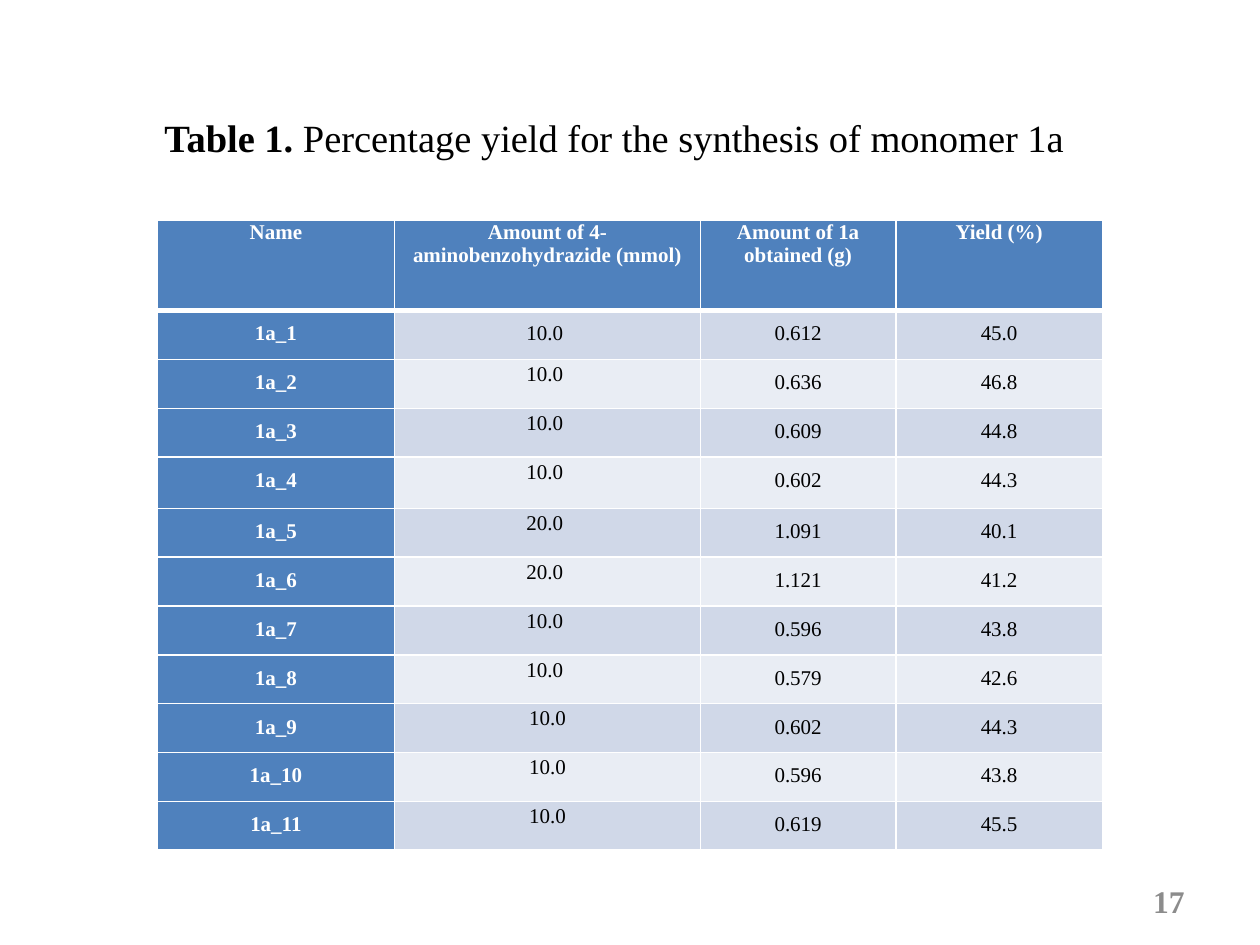
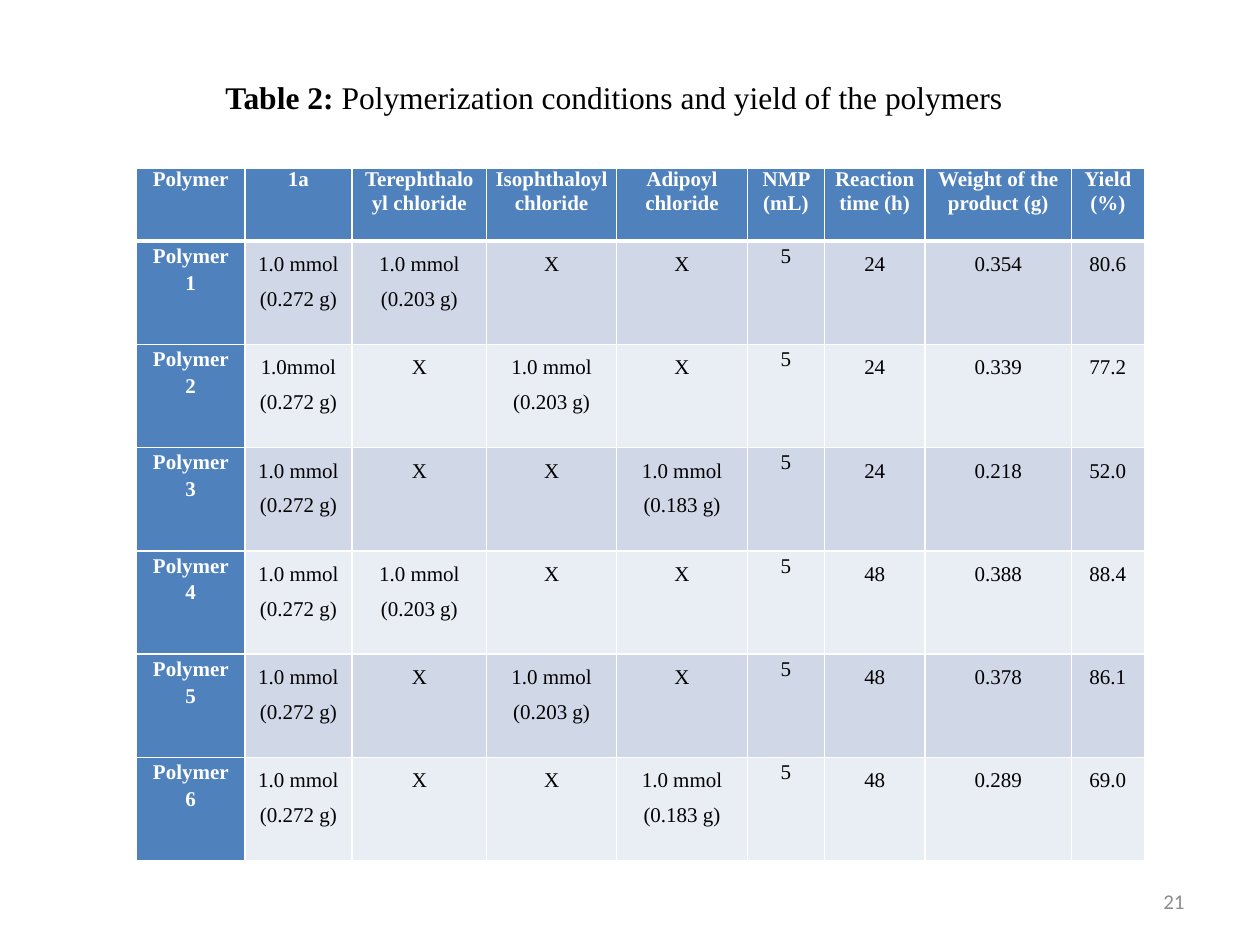
import dataclasses

import lxml.etree
import pptx
import pptx.dml.color
import pptx.enum.text
import pptx.oxml.ns
import pptx.util

ALIGN = pptx.enum.text.PP_ALIGN


# Colours, fonts and type sizes
@dataclasses.dataclass(frozen=True)
class Theme:
    serif: str = "Times New Roman"
    sans: str = "Calibri"
    ink: str = "000000"
    paper: str = "FFFFFF"
    blue: str = "4F81BD"
    bands: tuple[str, str] = ("D0D8E8", "E9EDF4")
    gray: str = "8C8C8C"
    small: int = 12
    large: int = 18
    huge: int = 22
    thin: int = 1
    thick: int = 3
    loose: float = 1.5
    snug: float = 1.15


THEME = Theme()

# The slide is a grid of 120 columns by 90 rows
WIDTH, HEIGHT = pptx.util.Inches(10), pptx.util.Inches(7.5)
UNIT = WIDTH / 120


@dataclasses.dataclass(frozen=True)
class Box:
    left: float
    top: float
    width: float
    height: float

    def place(self) -> tuple[int, ...]:
        return tuple(round(n * UNIT) for n in dataclasses.astuple(self))


@dataclasses.dataclass(frozen=True)
class Style:
    size: int
    color: str
    bold: bool | None = False
    face: str = THEME.serif


@dataclasses.dataclass(frozen=True)
class Title:
    box: Box
    label: str
    text: str
    size: int


@dataclasses.dataclass(frozen=True)
class Grid:
    box: Box
    widths: tuple[float, ...]
    heights: tuple[float, ...]
    heads: tuple[str, ...]
    rows: tuple[tuple[str, ...], ...]
    snug: frozenset[tuple[int, int]]  # cells with tighter lines


@dataclasses.dataclass(frozen=True)
class Page:
    title: Title
    grid: Grid
    number: str
    style: Style


NUMBER_BOX = Box(86, 83.4, 28, 4.8)

# Slide content
YIELDS = Grid(
    Box(15, 21, 90, 60),
    (1.88, 2.43, 1.55, 1.64),
    (0.72, *[0.39] * 4, 0.41, *[0.39] * 6)[:1] + (0.39,) * 3 + (0.41,) + (0.39,) * 7,
    ("Name", "Amount of 4-aminobenzohydrazide (mmol)",
     "Amount of 1a obtained (g)", "Yield (%)"),
    (
        ("1a_1", "10.0 ", "0.612", "45.0"),
        ("1a_2", "10.0 ", "0.636", "46.8"),
        ("1a_3", "10.0 ", "0.609", "44.8"),
        ("1a_4", "10.0 ", "0.602", "44.3"),
        ("1a_5", "20.0 ", "1.091", "40.1"),
        ("1a_6", "20.0 ", "1.121", "41.2"),
        ("1a_7", "10.0 ", "0.596", "43.8"),
        ("1a_8", "10.0 ", "0.579", "42.6"),
        ("1a_9", "10.0", "0.602", "44.3"),
        ("1a_10", "10.0", "0.596", "43.8"),
        ("1a_11", "10.0", "0.619", "45.5"),
    ),
    frozenset((row, 1) for row in range(2, 12)),
)

BASE = "1.0 mmol\n(0.272 g)"
LONG = "1.0 mmol (0.203 g)"
SHORT = "1.0 mmol (0.183 g)"
RUNS = Grid(
    Box(13, 16, 96, 66),
    (0.86, 0.85, 1.07, 1.03, 1.04, 0.61, 0.8, 1.16, 0.58),
    (0.58, *[0.82] * 6),
    ("Polymer", "1a", "Terephthaloyl chloride", "Isophthaloyl chloride",
     "Adipoyl chloride", "NMP (mL)", "Reaction time (h)",
     "Weight of the product (g)", "Yield (%)"),
    (
        ("Polymer 1", BASE, LONG, "X", "X", "5", "24", "0.354", "80.6"),
        ("Polymer 2", "1.0mmol\n(0.272 g)", "X", LONG, "X", "5", "24", "0.339", "77.2"),
        ("Polymer 3", BASE, "X", "X", SHORT, "5", "24", "0.218", "52.0"),
        ("Polymer 4", BASE, LONG, "X", "X", "5", "48", "0.388", "88.4"),
        ("Polymer 5", BASE, "X", LONG, "X", "5", "48", "0.378", "86.1"),
        ("Polymer 6", BASE, "X", "X", SHORT, "5", "48", "0.289", "69.0"),
    ),
    frozenset((row, col) for row in range(1, 7) for col in (0, 5)),
)

PAGES = (
    Page(
        Title(Box(2, 10.3, 113, 5.6), "Table 1. ",
              "Percentage yield for the synthesis of monomer 1a", THEME.huge),
        YIELDS, "17", Style(THEME.large, THEME.gray, True),
    ),
    Page(
        Title(Box(14, 6.8, 89, 4.8), "Table 2: ",
              "Polymerization conditions and yield of the polymers", THEME.large),
        RUNS, "21", Style(THEME.small, THEME.gray, face=THEME.sans),
    ),
)


def paint(color: str) -> pptx.dml.color.RGBColor:
    return pptx.dml.color.RGBColor.from_string(color)


def set_font(para, style: Style, align: ALIGN) -> None:
    para.alignment = align
    font = para.font
    font.name, font.size = style.face, pptx.util.Pt(style.size)
    font.color.rgb = paint(style.color)
    font.bold = style.bold


def add_box(slide, box: Box):
    frame = slide.shapes.add_textbox(*box.place()).text_frame
    frame.word_wrap = True
    return frame


def add_title(slide, title: Title) -> None:
    frame = add_box(slide, title.box)
    frame.auto_size = pptx.enum.text.MSO_AUTO_SIZE.SHAPE_TO_FIT_TEXT
    para = frame.paragraphs[0]
    set_font(para, Style(title.size, THEME.ink, None), ALIGN.CENTER)
    for text, bold in ((title.label, True), (title.text, False)):
        run = para.add_run()
        run.text, run.font.bold = text, bold


def add_number(slide, text: str, style: Style) -> None:
    frame = add_box(slide, NUMBER_BOX)
    frame.vertical_anchor = pptx.enum.text.MSO_ANCHOR.MIDDLE
    frame.text = text
    set_font(frame.paragraphs[0], style, ALIGN.RIGHT)


def add_edge(cell, side: str, points: int) -> None:
    name = pptx.oxml.ns.qn
    props = cell._tc.get_or_add_tcPr()
    line = lxml.etree.SubElement(props, name(f"a:ln{side}"), w=str(pptx.util.Pt(points)))
    fill = lxml.etree.SubElement(line, name("a:solidFill"))
    lxml.etree.SubElement(fill, name("a:srgbClr"), val=THEME.paper)


def fill_cell(cell, text: str, row: int, col: int, snug: bool) -> None:
    head = row == 0
    label = head or col == 0
    # Edges come before the fill in the cell's XML
    for side in "LRTB":
        heavy = (side == "B" and head) or (side == "T" and row == 1)
        add_edge(cell, side, THEME.thick if heavy else THEME.thin)
    cell.fill.solid()
    cell.fill.fore_color.rgb = paint(THEME.blue if label else THEME.bands[(row - 1) % 2])
    cell.margin_left = cell.margin_right = pptx.util.Inches(0.07)
    cell.margin_top = cell.margin_bottom = 0
    cell.text = text
    style = Style(THEME.small, THEME.paper if label else THEME.ink, label)
    for para in cell.text_frame.paragraphs:
        set_font(para, style, ALIGN.CENTER)
        if not head:
            para.line_spacing = THEME.snug if snug else THEME.loose


def add_grid(slide, grid: Grid) -> None:
    left, top, width, height = grid.box.place()
    table = slide.shapes.add_table(
        len(grid.heights), len(grid.widths), left, top, width, height).table
    table.first_col = True
    # Share the frame out by weight
    for col, part in zip(table.columns, grid.widths):
        col.width = round(width * part / sum(grid.widths))
    for row, part in zip(table.rows, grid.heights):
        row.height = round(height * part / sum(grid.heights))
    for r, texts in enumerate((grid.heads, *grid.rows)):
        for c, text in enumerate(texts):
            fill_cell(table.cell(r, c), text, r, c, (r, c) in grid.snug)


def main() -> None:
    deck = pptx.Presentation()
    deck.slide_width, deck.slide_height = WIDTH, HEIGHT
    for page in PAGES:
        slide = deck.slides.add_slide(deck.slide_layouts[6])
        add_title(slide, page.title)
        add_grid(slide, page.grid)
        add_number(slide, page.number, page.style)
    deck.save("out.pptx")


if __name__ == "__main__":
    main()
